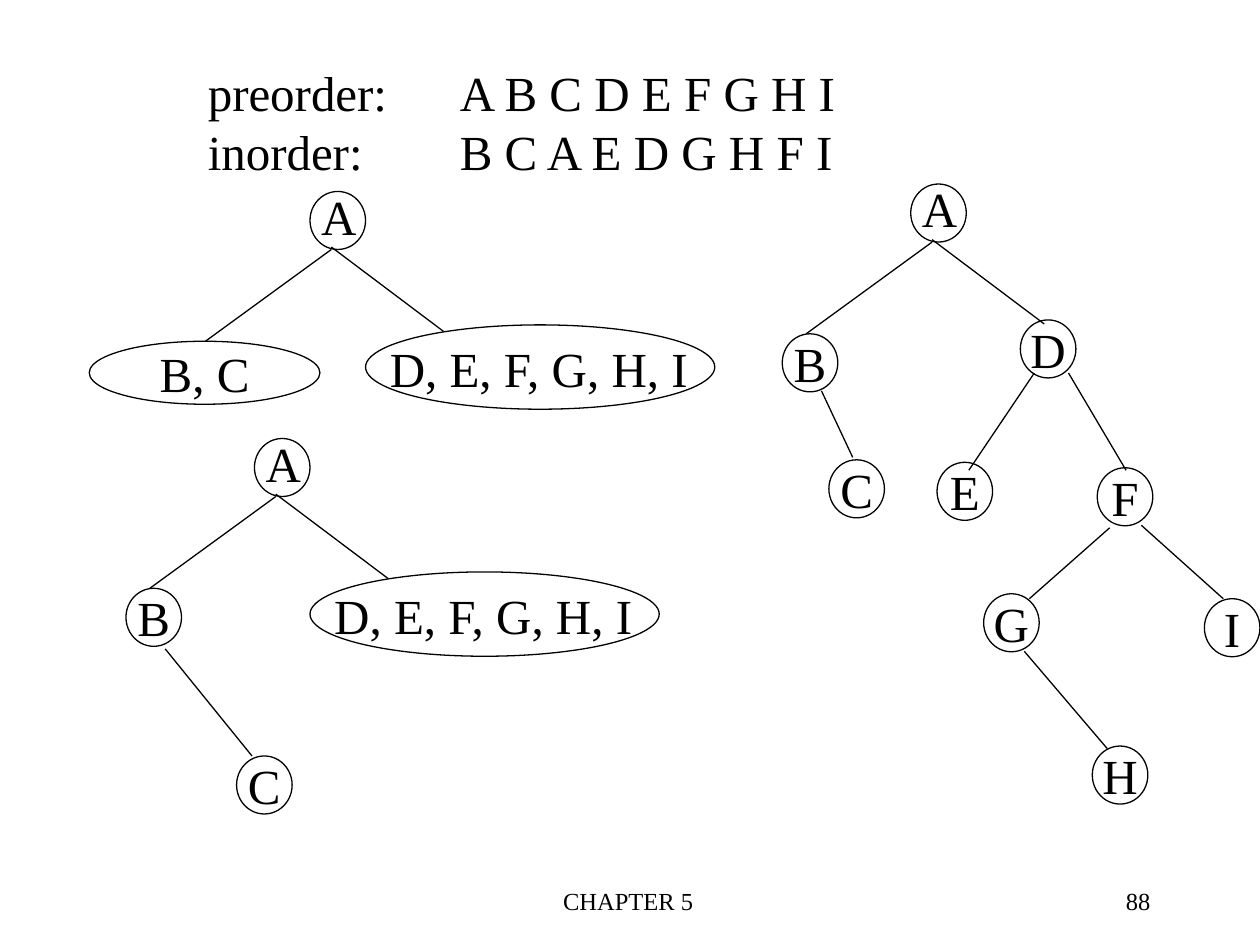
from pptx import Presentation
from pptx.dml.color import RGBColor
from pptx.enum.shapes import MSO_CONNECTOR as Conn, MSO_SHAPE as Geo
from pptx.enum.text import MSO_ANCHOR as Anchor, PP_ALIGN as Align
from pptx.oxml.ns import qn
from pptx.util import Cm, Pt
from lxml import etree

INK = "000000"
FONT = "Times New Roman"
NODE = (1.12, 1.17)  # width and height of a one-letter node


def paint(fmt, hex):
    fmt.rgb = RGBColor.from_string(hex)


def write(frame, text, size=28, align=Align.CENTER, anchor=Anchor.TOP,
          wrap=False, tab=None):
    frame.word_wrap = wrap
    frame.vertical_anchor = anchor
    frame.text = text
    para = frame.paragraphs[0]
    para.alignment = align
    if tab:
        tabs = etree.SubElement(para._p.get_or_add_pPr(), qn("a:tabLst"))
        etree.SubElement(tabs, qn("a:tab"), pos=str(Cm(tab)), algn="l")
    for run in para.runs:
        run.font.size = Pt(size)
        run.font.name = FONT
        paint(run.font.color, INK)


def label(slide, box, text, **form):
    shape = slide.shapes.add_textbox(*map(Cm, box))
    write(shape.text_frame, text, **form)


def node(slide, box, text=""):
    shape = slide.shapes.add_shape(Geo.OVAL, *map(Cm, box))
    shape.shadow.inherit = False
    shape.fill.background()
    paint(shape.line.color, INK)
    shape.line.width = Pt(0.75)
    if text:
        write(shape.text_frame, text, anchor=Anchor.MIDDLE)


def edge(slide, start, end):
    line = slide.shapes.add_connector(Conn.STRAIGHT, *map(Cm, start + end))
    paint(line.line.color, INK)
    line.line.width = Pt(0.75)
    etree.SubElement(line._element.spPr, qn("a:effectLst"))


def tree(slide, left, top, nodes, edges=(), group=None):
    """Draw a tree; all places are relative to the root's top left corner."""
    def at(x, y):
        return left + x, top + y

    # Root with its two branches
    node(slide, at(0, 0) + NODE)
    label(slide, at(-0.03, -0.23) + (1.22, 1.45), "A")
    edge(slide, at(0.43, 1.17), at(-2.11, 3.02))
    edge(slide, at(0.43, 1.12), at(2.69, 2.82))

    # Right subtree still unsplit
    if group:
        node(slide, at(1.12, 2.69) + (7.04, 1.7))
        label(slide, at(1.32, 2.84) + (6.58, 1.45), group)

    # Lower nodes and edges
    for text, x, y, *size in nodes:
        node(slide, at(x, y) + (tuple(size) or NODE), text)
    for start, end in edges:
        edge(slide, at(*start), at(*end))


def head(slide, box):
    label(slide, box, "preorder: \tA B C D E F G H I\v"
          "inorder:\tB C A E D G H F I", align=Align.LEFT, tab=5.08)


def foot(slide, top):
    label(slide, (8.64, top, 8.05, 1.27), "CHAPTER 5", size=14, wrap=True)
    label(slide, (18.16, top, 5.28, 1.27), "88", size=14, wrap=True,
          align=Align.RIGHT)


def main():
    deck = Presentation()
    deck.slide_width, deck.slide_height = Cm(25.4), Cm(19.05)
    slide = deck.slides.add_slide(deck.slide_layouts[6])
    rest = "D, E, F, G, H, I"

    head(slide, (3.94, 1.14, 13.21, 2.64))

    # Step 1: split at the root
    tree(slide, 6.25, 3.86, [("B, C", -4.45, 3.02, 4.65, 1.27)], group=rest)

    # Step 2: left subtree solved
    tree(slide, 5.13, 8.84, [("B", -2.59, 3.02), ("C", -0.36, 6.4)],
         [((-1.8, 4.24), (-0.05, 6.4))], group=rest)

    # Step 3: whole tree
    tree(slide, 18.36, 3.71,
         [("B", -2.59, 3.02), ("C", -1.65, 5.56), ("D", 2.21, 2.74),
          ("E", 0.53, 5.61), ("F", 3.76, 5.72), ("G", 1.47, 8.26),
          ("I", 5.92, 8.36), ("H", 3.66, 11.33)],
         [((-1.8, 4.17), (-1.17, 5.51)), ((2.49, 3.81), (1.17, 5.77)),
          ((3.18, 3.81), (4.34, 5.77)), ((4.01, 6.93), (2.39, 8.36)),
          ((4.65, 6.88), (6.3, 8.36)), ((2.29, 9.42), (3.96, 11.38))])

    foot(slide, 17.73)
    deck.save("out.pptx")


if __name__ == "__main__":
    main()
